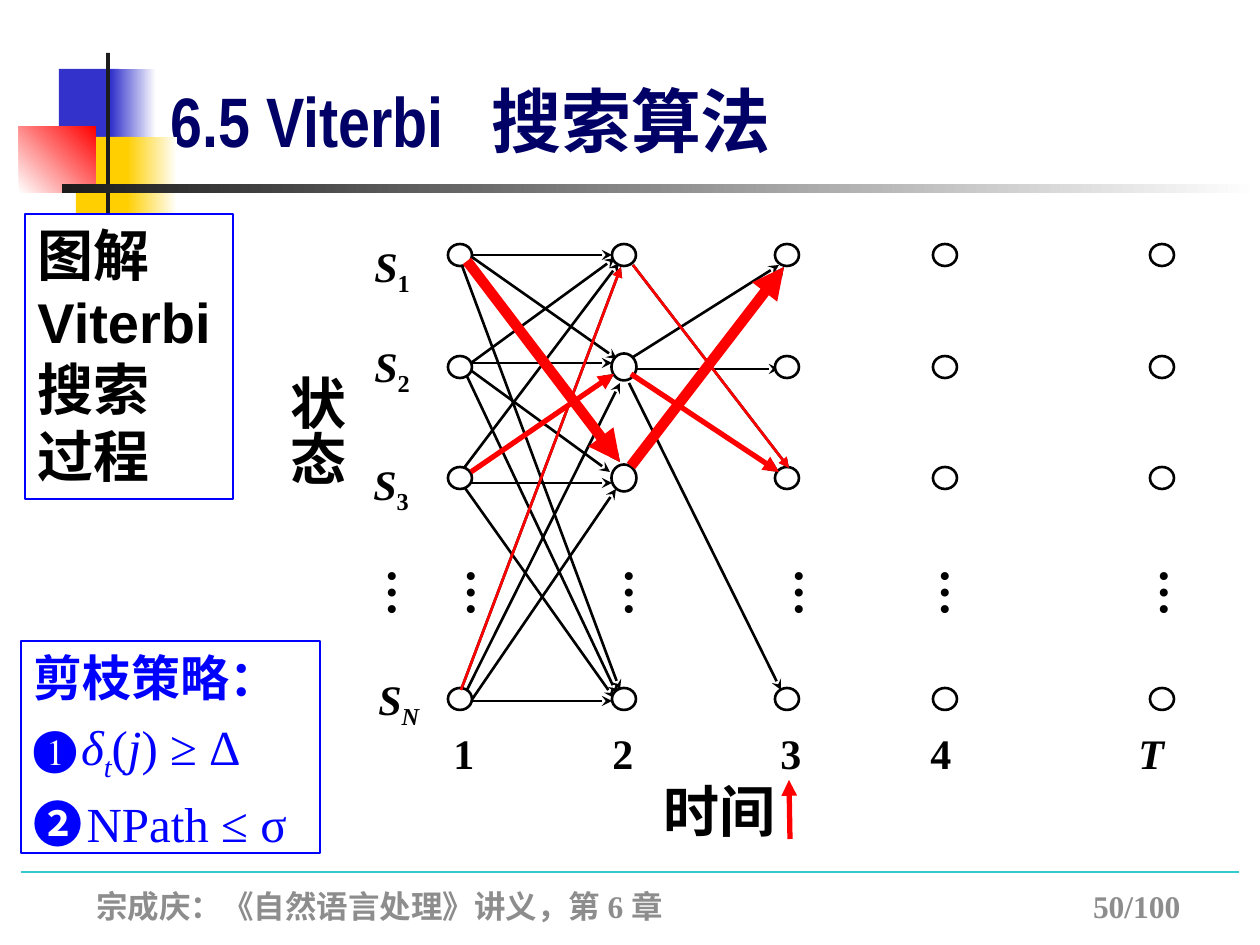
from dataclasses import dataclass

from lxml import etree
from pptx import Presentation
from pptx.dml.color import RGBColor
from pptx.enum import shapes, text
from pptx.oxml.ns import qn
from pptx.util import Emu, Pt

SCALE = 914400 / 126  # EMU in one px


@dataclass(frozen=True)
class Theme:
    navy: str = "000066"
    black: str = "000000"
    white: str = "FFFFFF"
    blue: str = "0000FF"
    red: str = "FF0000"
    indigo: str = "3333CC"
    gold: str = "FFCF01"
    charcoal: str = "1C1C1C"
    teal: str = "33CCCC"
    gray: str = "8D8D8D"
    serif: str = "Times New Roman"
    sans: str = "Arial"
    narrow: str = "Arial Narrow"
    chinese: str = "Noto Sans CJK SC"
    title: int = 40
    heading: int = 32
    body: int = 28
    label: int = 24
    footer: int = 18
    gap: int = 10
    thin: float = 1.5
    medium: int = 3
    thick: int = 6


THEME = Theme()

# Trellis grid: centres of the time columns and state rows
COLUMNS = [460, 624, 787, 945, 1162]
ROWS = [255, 367, 478, 699]
WIDE_NODES = [(1, 1), (1, 2)]

# (time, from state, to state): x1, y1, x2, y2
EDGES = {
    (1, 1, 1): (471, 255, 612, 255),
    (1, 1, 2): (469, 255, 617, 359),
    (1, 1, 3): (467, 261, 620, 462),
    (1, 1, 4): (461, 263, 620, 690),
    (1, 2, 1): (471, 363, 615, 258),
    (1, 2, 2): (471, 363, 612, 363),
    (1, 2, 3): (469, 369, 610, 472),
    (1, 2, 4): (465, 372, 617, 694),
    (1, 3, 1): (461, 472, 619, 263),
    (1, 3, 2): (471, 472, 614, 374),
    (1, 3, 3): (471, 483, 612, 483),
    (1, 3, 4): (465, 488, 614, 698),
    (1, 4, 1): (461, 690, 621, 267),
    (1, 4, 2): (466, 692, 620, 383),
    (1, 4, 3): (471, 701, 616, 489),
    (1, 4, 4): (471, 701, 612, 701),
    (2, 2, 1): (630, 359, 779, 265),
    (2, 2, 2): (635, 369, 779, 369),
    (2, 2, 3): (631, 374, 779, 472),
    (2, 2, 4): (629, 383, 781, 690),
    (2, 3, 1): (631, 466, 784, 267),
    (2, 1, 3): (633, 265, 789, 468),
}
# Surviving paths and their line weights
PATHS = {
    (1, 3, 2): THEME.medium, (1, 1, 3): THEME.thick, (1, 4, 1): THEME.thin,
    (2, 3, 1): THEME.thick, (2, 2, 3): THEME.medium, (2, 1, 3): THEME.thin,
}


def px(*lengths):
    return [Emu(round(length * SCALE)) for length in lengths]


def rgb(color):
    return RGBColor.from_string(color)


def add_shape(slide, kind, box, fill=None, line=None, fade=None, angle=0):
    shape = slide.shapes.add_shape(kind, *px(*box))
    shape.shadow.inherit = False
    if fade:
        shape.fill.gradient()
        shape.fill.gradient_angle = angle
        for stop, color in zip(shape.fill.gradient_stops, (fill, fade)):
            stop.color.rgb = rgb(color)
    elif fill:
        shape.fill.solid()
        shape.fill.fore_color.rgb = rgb(fill)
    else:
        shape.fill.background()
    if line:
        shape.line.color.rgb = rgb(line)
        shape.line.width = Pt(THEME.thin)
    else:
        shape.line.fill.background()
    return shape


def add_line(slide, ends, color, width, head=None):
    line = slide.shapes.add_connector(shapes.MSO_CONNECTOR.STRAIGHT, *px(*ends))
    line.line.color.rgb = rgb(color)
    line.line.width = Pt(width)
    if head:
        etree.SubElement(line.line._get_or_add_ln(), qn("a:tailEnd"), type=head)
    etree.SubElement(line._element.spPr, qn("a:effectLst"))


def add_run(paragraph, words, size, color, font=THEME.serif, bold=True,
            italic=False, subscript=False, spacing=0):
    run = paragraph.add_run()
    run.text = words
    run.font.color.rgb = rgb(color)
    values = {"size": Pt(size), "name": font, "bold": bold, "italic": italic}
    for name, value in values.items():
        setattr(run.font, name, value)
    properties = run.font._element
    etree.SubElement(properties, qn("a:ea"), typeface=THEME.chinese)
    if subscript:
        properties.set("baseline", "-25000")
    if spacing:
        properties.set("spc", str(spacing * 100))


def write(shape, paragraphs, align=text.PP_ALIGN.LEFT, vertical=False,
          anchor=text.MSO_ANCHOR.TOP, space=0):
    """Fill a shape; each paragraph is a list of run-format dicts."""
    frame = shape.text_frame
    values = {"word_wrap": True, "auto_size": text.MSO_AUTO_SIZE.NONE,
              "vertical_anchor": anchor}
    for name, value in values.items():
        setattr(frame, name, value)
    if vertical:
        frame._txBody.bodyPr.set("vert", "eaVert")
    for index, runs in enumerate(paragraphs):
        paragraph = frame.add_paragraph() if index else frame.paragraphs[0]
        paragraph.alignment = align
        paragraph.space_before = Pt(space if index else 0)
        for run in runs:
            add_run(paragraph, **run)


def add_text(slide, box, runs, **layout):
    write(slide.shapes.add_textbox(*px(*box)), [runs], **layout)


def styled(words, size=THEME.label, color=THEME.black, **values):
    return dict(words=words, size=size, color=color, **values)


def add_decoration(slide):
    add_line(slide, (21, 872, 1239, 872), THEME.teal, 0.75)
    blocks = [
        ((59, 69, 60, 76), THEME.indigo, None, 0),
        ((111, 69, 45, 76), THEME.indigo, THEME.white, 0),
        ((76, 137, 58, 76), THEME.gold, None, 0),
        ((127, 137, 50, 76), THEME.gold, THEME.white, 0),
        ((19, 126, 77, 67), THEME.white, THEME.red, 45),
        ((106, 53, 4, 168), THEME.charcoal, None, 0),
        ((62, 184, 1198, 9), THEME.charcoal, THEME.white, 0),
    ]
    for box, fill, fade, angle in blocks:
        add_shape(slide, shapes.MSO_SHAPE.RECTANGLE, box, fill, fade=fade, angle=angle)


def add_title(slide):
    title = slide.shapes.title
    title.left, title.top, title.width, title.height = px(158, 63, 750, 105)
    style = dict(size=THEME.title, color=THEME.navy, font=THEME.narrow)
    write(title, [[styled("6.5 Viterbi", **style), styled(" ", spacing=18, **style),
                   styled("搜索算法", **{**style, "font": THEME.chinese})]],
          anchor=text.MSO_ANCHOR.BOTTOM)


def add_panels(slide):
    heading = add_shape(slide, shapes.MSO_SHAPE.RECTANGLE, (25, 214, 208, 285),
                        THEME.white, THEME.blue)
    write(heading, [[styled(words, THEME.heading, font=THEME.sans)]
                    for words in ("图解", "Viterbi", "搜索", "过程")])

    def blue(words, size=THEME.body, bold=False, **values):
        return styled(words, size, THEME.blue, bold=bold, **values)

    pruning = add_shape(slide, shapes.MSO_SHAPE.RECTANGLE, (21, 641, 299, 212),
                        line=THEME.blue)
    write(pruning, [
        [blue("剪枝策略：", bold=True, font=THEME.chinese)],
        [blue("❶"), blue(" ", THEME.gap), blue("δ", italic=True),
         blue("t", italic=True, subscript=True), blue("("),
         blue("j", italic=True), blue(") ≥ Δ")],
        [blue("❷", bold=True, font=THEME.chinese), blue(" ", THEME.gap),
         blue("NPath ≤ σ")],
    ], space=6)


def add_trellis(slide):
    for ends in EDGES.values():
        add_line(slide, ends, THEME.black, THEME.thin, "stealth")
    for column, x in enumerate(COLUMNS):
        for row, y in enumerate(ROWS):
            width, height = (25, 27) if (column, row) in WIDE_NODES else (24, 22)
            box = (x - width / 2, y - height / 2, width, height)
            add_shape(slide, shapes.MSO_SHAPE.OVAL, box, THEME.white, THEME.black)
    for edge, width in PATHS.items():
        add_line(slide, EDGES[edge], THEME.red, width, "triangle")
    add_line(slide, (790, 839, 789, 780), THEME.red, THEME.medium, "triangle")


def add_labels(slide):
    # States, with a subscript each
    for x, y, index in [(362, 234, "1"), (362, 334, "2"), (361, 452, "3"), (366, 667, "N")]:
        add_text(slide, (x, y, 87, 62), [
            styled("S", italic=True),
            styled(index, italic=index == "N", subscript=True)])
    # Time steps
    for x, step in [(441, "1"), (600, "2"), (768, "3"), (918, "4"), (1126, "T")]:
        add_text(slide, (x, 721, 66, 59), [styled(step, italic=step == "T")])
    # Vertical ellipses
    for x in (343, 422, 580, 750, 896, 1115):
        add_text(slide, (x, 556, 101, 76), [styled("…", THEME.body)], vertical=True)
    # Axis names
    centre = text.PP_ALIGN.CENTER
    add_text(slide, (263, 363, 93, 268), [styled("状态", THEME.heading)],
             vertical=True, align=centre)
    add_text(slide, (630, 770, 179, 69), [styled("时间", THEME.heading)], align=centre)


def add_footer(slide):
    style = dict(size=THEME.footer, color=THEME.gray)
    add_text(slide, (84, 881, 800, 50), [styled("宗成庆：《自然语言处理》讲义，第 6 章", **style)])
    add_text(slide, (1040, 881, 153, 50), [styled("50/100", **style)],
             align=text.PP_ALIGN.RIGHT)


def main():
    presentation = Presentation()
    presentation.slide_width, presentation.slide_height = px(1260, 945)
    slide = presentation.slides.add_slide(presentation.slide_layouts[5])
    for add_part in (add_decoration, add_title, add_panels, add_trellis,
                     add_labels, add_footer):
        add_part(slide)
    presentation.save("out.pptx")


if __name__ == "__main__":
    main()
